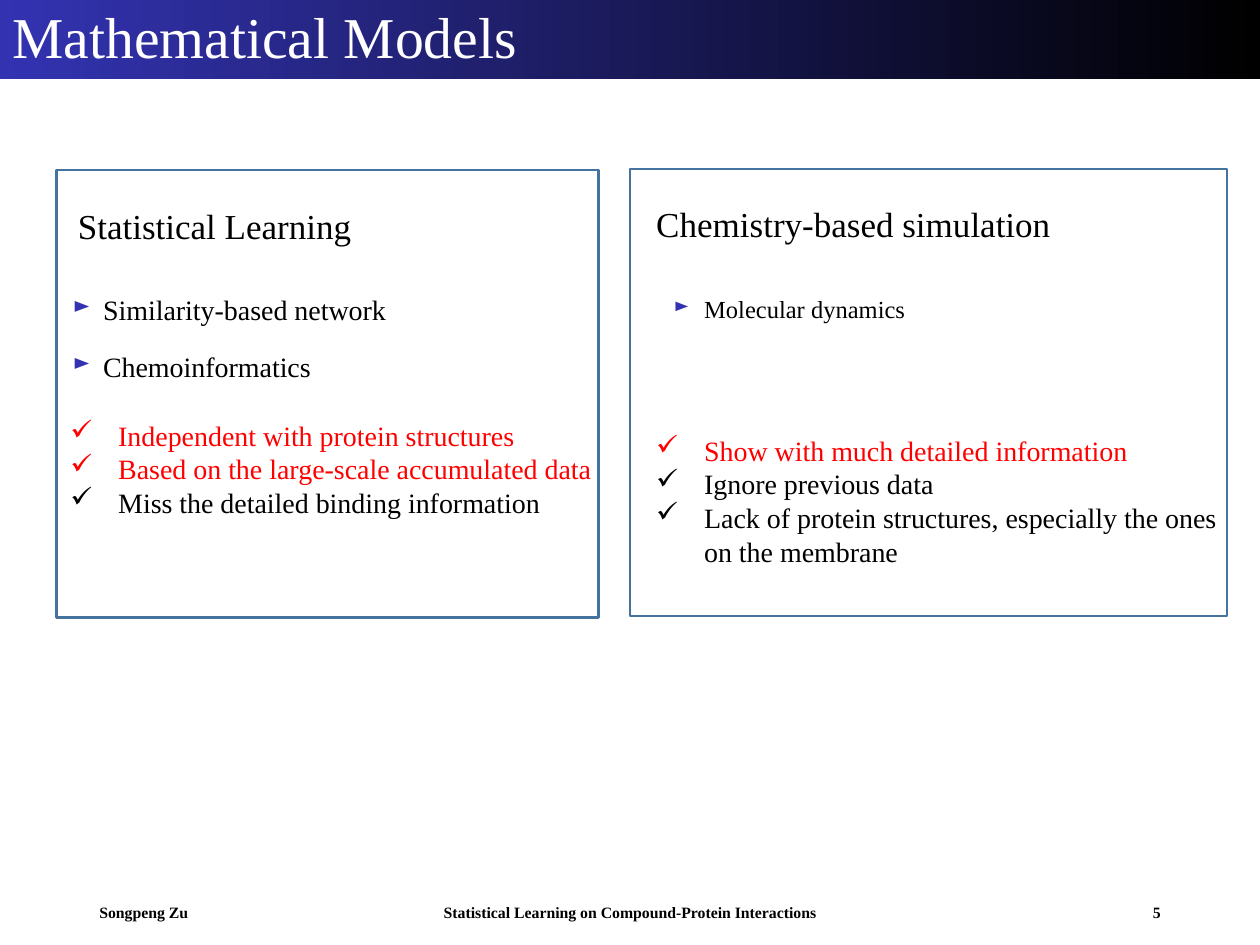
from dataclasses import dataclass
from typing import Optional

from lxml.etree import SubElement
from pptx import Presentation
from pptx.dml.color import RGBColor
from pptx.enum.shapes import MSO_SHAPE
from pptx.enum.text import MSO_ANCHOR, PP_ALIGN
from pptx.oxml.ns import qn
from pptx.util import Inches, Pt

BLACK = RGBColor(0x00, 0x00, 0x00)
WHITE = RGBColor(0xFF, 0xFF, 0xFF)
RED = RGBColor(0xFF, 0x00, 0x00)
INDIGO = RGBColor(0x33, 0x33, 0xB2)
STEEL = RGBColor(0x43, 0x73, 0x9E)
FONT = "Times New Roman"

Box = tuple[float, float, float, float]


@dataclass(frozen=True)
class Bullet:
    char: str
    indent: float
    color: Optional[RGBColor] = None
    percent: Optional[int] = None


@dataclass(frozen=True)
class Panel:
    frame: Box
    heading: str
    heading_box: Box
    methods: list[str]
    methods_box: Box
    methods_size: int
    points: list[tuple[str, RGBColor]]
    points_box: Box


ARROW = Bullet("►", 0.24, INDIGO, 80)
CHECK = Bullet("✓", 0.38)

PANELS = [
    Panel(
        (0.45, 1.35, 4.3, 3.55),
        "Statistical Learning", (0.52, 1.57, 4.19, 0.44),
        ["Similarity-based network", "Chemoinformatics"], (0.48, 2.19, 4.23, 4.03), 16,
        [
            ("Independent with protein structures", RED),
            ("Based on the large-scale accumulated data", RED),
            ("Miss the detailed binding information", BLACK),
        ],
        (0.46, 3.27, 4.45, 0.91),
    ),
    Panel(
        (5, 1.34, 4.74, 3.55),
        "Chemistry-based simulation", (5.11, 1.56, 4.19, 0.44),
        ["Molecular dynamics"], (5.25, 2.17, 4.25, 4.03), 14,
        [
            ("Show with much detailed information", RED),
            ("Ignore previous data", BLACK),
            ("Lack of protein structures, especially the ones on the membrane", BLACK),
        ],
        (5.11, 3.39, 4.71, 1.18),
    ),
]

FOOTERS = [
    ("Songpeng Zu", 0.69, 2.25, PP_ALIGN.LEFT),
    ("Statistical Learning on Compound-Protein Interactions", 3.31, 3.38, PP_ALIGN.CENTER),
    ("5", 7.06, 2.25, PP_ALIGN.RIGHT),
]


def set_bullet(p, bullet: Bullet) -> None:
    pPr = p._p.get_or_add_pPr()
    pPr.set("marL", str(Inches(bullet.indent)))
    pPr.set("indent", str(-Inches(bullet.indent)))
    if bullet.color is not None:
        SubElement(SubElement(pPr, qn("a:buClr")), qn("a:srgbClr")).set("val", str(bullet.color))
    if bullet.percent is not None:
        SubElement(pPr, qn("a:buSzPct")).set("val", str(bullet.percent * 1000))
    SubElement(pPr, qn("a:buChar")).set("char", bullet.char)


def write(p, text: str, *, size: int, color: RGBColor = BLACK, bold: bool = False,
          align: PP_ALIGN = PP_ALIGN.LEFT, bullet: Optional[Bullet] = None) -> None:
    if bullet is not None:
        set_bullet(p, bullet)
    p.alignment = align
    r = p.add_run()
    r.text = text
    r.font.name = FONT
    r.font.size = Pt(size)
    r.font.bold = bold
    r.font.color.rgb = color


def add_text_frame(shapes, box: Box, anchor: MSO_ANCHOR = MSO_ANCHOR.TOP):
    tf = shapes.add_textbox(*map(Inches, box)).text_frame
    tf.word_wrap = True
    tf.vertical_anchor = anchor
    return tf


def add_rectangle(shapes, box: Box):
    sp = shapes.add_shape(MSO_SHAPE.RECTANGLE, *map(Inches, box))
    sp.shadow.inherit = False
    return sp


def draw_title(s, text: str) -> None:
    sp = add_rectangle(s.shapes, (0, 0, 10, 0.63))
    sp.line.fill.background()
    sp.fill.gradient()
    sp.fill.gradient_angle = 180
    for stop, color in zip(sp.fill.gradient_stops, (BLACK, INDIGO)):
        stop.color.rgb = color
    tf = sp.text_frame
    tf.word_wrap = True
    tf.vertical_anchor = MSO_ANCHOR.MIDDLE
    p = tf.paragraphs[0]
    p.line_spacing = 0.9
    write(p, text, size=33, color=WHITE)


def draw_panel(s, panel: Panel) -> None:
    tf = add_text_frame(s.shapes, panel.methods_box)
    for i, method in enumerate(panel.methods):
        p = tf.add_paragraph() if i else tf.paragraphs[0]
        write(p, method, size=panel.methods_size, bullet=ARROW)
        p.line_spacing = Pt(25)
        if i:
            p.space_before = Pt(7.5)

    shapes = s.shapes.add_group_shape().shapes
    tf = add_text_frame(shapes, panel.points_box)
    for i, (point, color) in enumerate(panel.points):
        p = tf.add_paragraph() if i else tf.paragraphs[0]
        write(p, point, size=16, color=color, bullet=CHECK)

    tf = add_text_frame(shapes, panel.heading_box)
    write(tf.paragraphs[0], panel.heading, size=20)

    frame = add_rectangle(shapes, panel.frame)
    frame.fill.background()
    frame.line.color.rgb = STEEL
    frame.line.width = Pt(1.5)


def main() -> None:
    prs = Presentation()
    prs.slide_width, prs.slide_height = Inches(10), Inches(7.5)
    s = prs.slides.add_slide(prs.slide_layouts[6])
    draw_title(s, "Mathematical Models")
    for text, left, width, align in FOOTERS:
        tf = add_text_frame(s.shapes, (left, 7.04, width, 0.4), MSO_ANCHOR.MIDDLE)
        write(tf.paragraphs[0], text, size=9, bold=True, align=align)
    for panel in PANELS:
        draw_panel(s, panel)
    prs.save("out.pptx")


if __name__ == "__main__":
    main()
